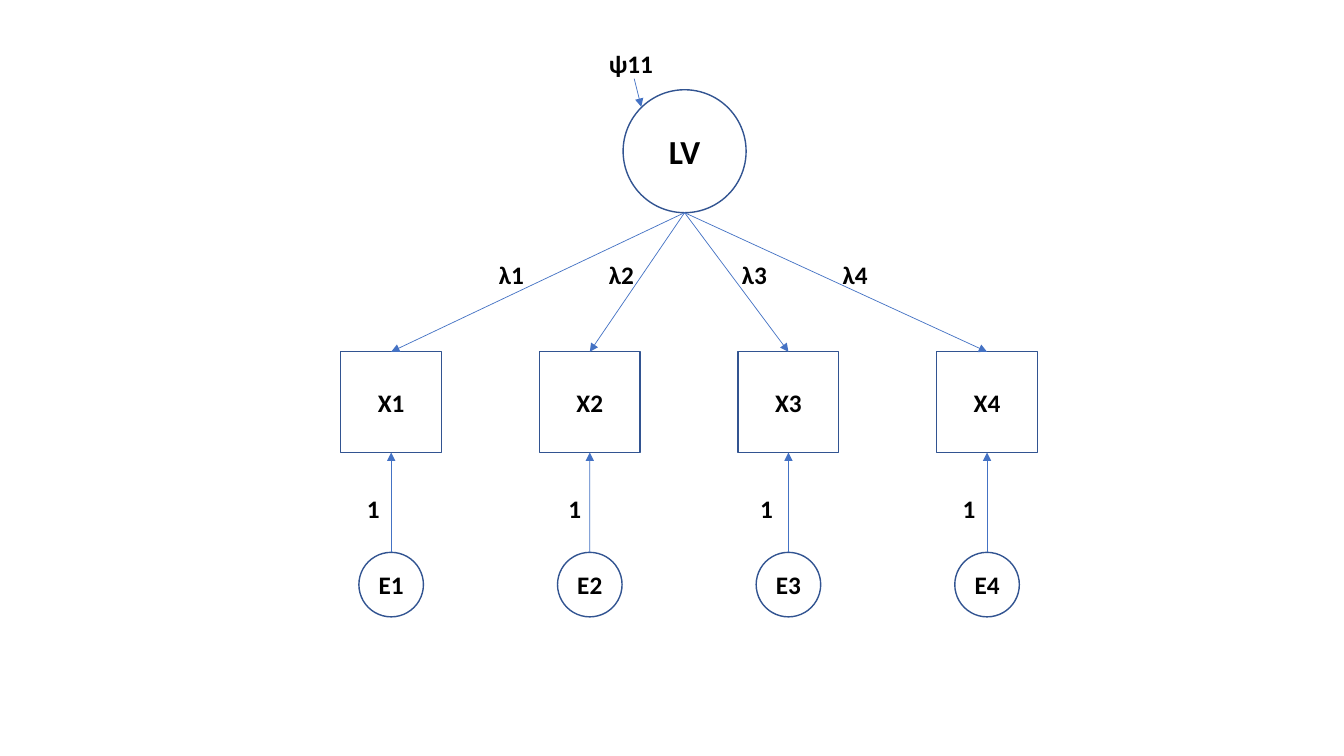
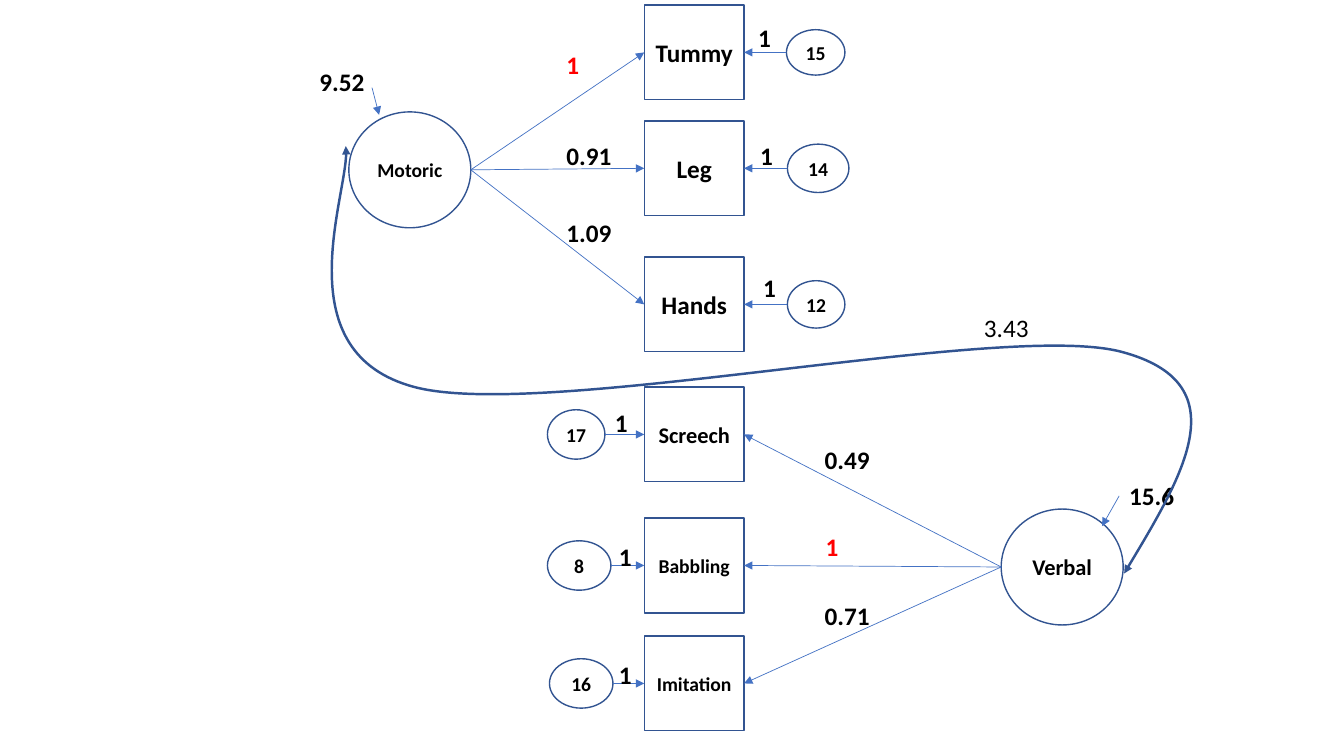
from dataclasses import dataclass
from typing import NamedTuple

from lxml import etree
from pptx import Presentation
from pptx.dml.color import RGBColor
from pptx.enum.shapes import MSO_CONNECTOR, MSO_SHAPE
from pptx.enum.text import MSO_ANCHOR, MSO_AUTO_SIZE, PP_ALIGN
from pptx.oxml.ns import qn
from pptx.shapes.autoshape import Shape
from pptx.shapes.connector import Connector
from pptx.slide import Slide
from pptx.text.text import TextFrame
from pptx.util import Inches, Pt

CIRCLE, SQUARE = MSO_SHAPE.OVAL, MSO_SHAPE.RECTANGLE
STRAIGHT = MSO_CONNECTOR.STRAIGHT
CENTER, MIDDLE = PP_ALIGN.CENTER, MSO_ANCHOR.MIDDLE
GROW = MSO_AUTO_SIZE.SHAPE_TO_FIT_TEXT
TOP, LEFT, BOTTOM, RIGHT = range(4)
BLANK_LAYOUT = 6


@dataclass(frozen=True)
class Theme:
    font: str = "Calibri"
    paper: RGBColor = RGBColor(0xFF, 0xFF, 0xFF)
    ink: RGBColor = RGBColor(0, 0, 0)
    fixed: RGBColor = RGBColor(0xFF, 0, 0)
    outline: RGBColor = RGBColor(0x32, 0x54, 0x91)
    arrow: RGBColor = RGBColor(0x44, 0x72, 0xC4)
    large: int = 24
    normal: int = 18
    medium: int = 16
    small: int = 14
    outline_width: float = 1
    arrow_width: float = 0.5
    curve_width: float = 1.75


THEME = Theme()


class Point(NamedTuple):
    x: float
    y: float


class Box(NamedTuple):
    left: float
    top: float
    width: float
    height: float

    @property
    def center(self) -> Point:
        return Point(self.left + self.width / 2, self.top + self.height / 2)

    def side(self, site: int) -> Point:
        """Middle of the given side."""
        x, y = self.center
        return {
            TOP: Point(x, self.top),
            LEFT: Point(self.left, y),
            BOTTOM: Point(x, self.top + self.height),
            RIGHT: Point(self.left + self.width, y),
        }[site]


def centered(x: float, y: float, width: float, height: float) -> Box:
    return Box(x - width / 2, y - height / 2, width, height)


class Label(NamedTuple):
    text: str
    left: float
    top: float
    width: float = 0.72
    color: RGBColor = THEME.ink
    bold: bool = True


class Variance(NamedTuple):
    label: Label
    start: Point
    end: Point


class Indicator(NamedTuple):
    name: str
    size: int
    top: float
    error: str
    error_box: tuple[float, float, float]  # left, width, height
    one: Label
    loading: Label


class Factor(NamedTuple):
    name: str
    size: int
    box: Box
    facing: int
    variance: Variance
    indicators: list[Indicator]


def add_text(frame: TextFrame, text: str, size: int,
             color: RGBColor = THEME.ink, bold: bool = True) -> None:
    run = frame.paragraphs[0].add_run()
    run.text = text
    run.font.name = THEME.font
    run.font.size = Pt(size)
    run.font.bold = bold
    run.font.color.rgb = color


def add_node(slide: Slide, kind: int, box: Box, text: str, size: int) -> Shape:
    node = slide.shapes.add_shape(kind, *map(Inches, box))
    node.shadow.inherit = False
    node.fill.solid()
    node.fill.fore_color.rgb = THEME.paper
    node.line.color.rgb = THEME.outline
    node.line.width = Pt(THEME.outline_width)
    frame = node.text_frame
    frame.word_wrap = True
    frame.margin_left = frame.margin_right = 0
    frame.vertical_anchor = MIDDLE
    frame.paragraphs[0].alignment = CENTER
    add_text(frame, text, size)
    return node


def add_label(slide: Slide, label: Label) -> None:
    area = Box(label.left, label.top, label.width, 0.4)
    frame = slide.shapes.add_textbox(*map(Inches, area)).text_frame
    frame.word_wrap = True
    frame.auto_size = GROW
    frame.margin_right = 0
    add_text(frame, label.text, THEME.normal, label.color, label.bold)


def add_arrowheads(shape: Shape | Connector, *ends: str) -> None:
    line = shape.line._get_or_add_ln()
    for end in ends:
        etree.SubElement(line, qn(f"a:{end}"), type="triangle")


def add_arrow(slide: Slide, start: Point, end: Point) -> Connector:
    arrow = slide.shapes.add_connector(STRAIGHT, *map(Inches, (*start, *end)))
    arrow.line.color.rgb = THEME.arrow
    arrow.line.width = Pt(THEME.arrow_width)
    add_arrowheads(arrow, "tailEnd")
    etree.SubElement(arrow._element.spPr, qn("a:effectLst"))
    return arrow


def add_curve(slide: Slide, points: list[Point], bounds: Box) -> None:
    """Draw joined cubic curves: a start, then three points per curve."""
    corners = [(Inches(x), Inches(y)) for x, y in points]
    builder = slide.shapes.build_freeform(*corners[0])
    builder.add_line_segments(corners[1:], close=False)
    curve = builder.convert_to_shape()

    outline = curve._element.find(".//" + qn("a:path"))
    steps = outline.findall(qn("a:lnTo"))
    for first in range(0, len(steps), 3):
        cubic = etree.SubElement(outline, qn("a:cubicBezTo"))
        for step in steps[first:first + 3]:
            cubic.append(step[0])
            outline.remove(step)

    # The frame hugs the curve rather than its control points.
    left, top, width, height = map(Inches, bounds)
    shift_x, shift_y = left - curve.left, top - curve.top
    for point in outline.iter(qn("a:pt")):
        point.set("x", str(int(point.get("x")) - shift_x))
        point.set("y", str(int(point.get("y")) - shift_y))
    outline.set("w", str(width))
    outline.set("h", str(height))
    curve.left, curve.top, curve.width, curve.height = left, top, width, height

    curve.shadow.inherit = False
    curve.fill.background()
    curve.line.color.rgb = THEME.outline
    curve.line.width = Pt(THEME.curve_width)
    add_arrowheads(curve, "headEnd", "tailEnd")


def add_variance(slide: Slide, variance: Variance) -> None:
    add_arrow(slide, variance.start, variance.end)
    add_label(slide, variance.label)


def build_one_factor_model(slide: Slide) -> None:
    latent = Box(6.18, 0.89, 1.22, 1.22)
    first_center, pitch = 3.88, 1.97
    loading_lefts = (4.85, 5.94, 7.26, 8.26)
    one_lefts = (3.54, 5.54, 7.44, 9.45)

    add_node(slide, CIRCLE, latent, "LV", THEME.large)
    for i, (loading_left, one_left) in enumerate(zip(loading_lefts, one_lefts)):
        x, number = first_center + i * pitch, i + 1
        observed_box = centered(x, 3.99, 1, 1)
        error_box = centered(x, 5.8, 0.64, 0.64)
        observed = add_node(slide, SQUARE, observed_box, f"X{number}", THEME.normal)
        error = add_node(slide, CIRCLE, error_box, f"E{number}", THEME.normal)
        loading = add_arrow(slide, latent.side(BOTTOM), observed_box.side(TOP))
        loading.end_connect(observed, TOP)
        residual = add_arrow(slide, error_box.side(TOP), observed_box.side(BOTTOM))
        residual.begin_connect(error, TOP)
        residual.end_connect(observed, BOTTOM)
        add_label(slide, Label("1", one_left, 4.84, 0.33))
        add_label(slide, Label(f"λ{number}", loading_left, 2.52, 0.45))
    add_variance(slide, Variance(Label("ψ11", 5.94, 0.43, 0.64),
                                 Point(6.29, 0.78), Point(6.36, 1.06)))


FACTORS = [
    Factor("Motoric", THEME.small, Box(3.46, 1.11, 1.21, 1.15), RIGHT,
           Variance(Label("9.52", 3.07, 0.61), Point(3.69, 0.87), Point(3.76, 1.14)), [
        Indicator("Tummy", THEME.normal, 0.05, "15", (7.8, 0.58, 0.45),
                  Label("1", 7.42, 0.17, 0.33), Label("1", 5.52, 0.44, color=THEME.fixed)),
        Indicator("Leg", THEME.normal, 1.2, "14", (7.81, 0.61, 0.48),
                  Label("1", 7.44, 1.34, 0.33), Label("0.91", 5.52, 1.34)),
        Indicator("Hands", THEME.normal, 2.55, "12", (7.81, 0.57, 0.47),
                  Label("1", 7.47, 2.65, 0.33), Label("1.09", 5.52, 2.11)),
    ]),
    Factor("Verbal", THEME.medium, Box(9.93, 5.05, 1.21, 1.15), LEFT,
           Variance(Label("15.6", 11.1, 4.72), Point(11.1, 4.92), Point(10.93, 5.22)), [
        Indicator("Screech", THEME.medium, 3.84, "17", (5.43, 0.57, 0.49),
                  Label("1", 6, 3.99, 0.33), Label("0.49", 8.08, 4.36)),
        Indicator("Babbling", THEME.small, 5.14, "8", (5.43, 0.63, 0.49),
                  Label("1", 6.04, 5.32, 0.33), Label("1", 8.09, 5.22, color=THEME.fixed)),
        Indicator("Imitation", THEME.small, 6.31, "16", (5.45, 0.63, 0.49),
                  Label("1", 6.04, 6.49, 0.33), Label("0.71", 8.08, 5.91)),
    ]),
]


def add_indicator(slide: Slide, factor: Factor, indicator: Indicator) -> None:
    near, far = (LEFT, RIGHT) if factor.facing == RIGHT else (RIGHT, LEFT)
    observed_box = Box(6.39, indicator.top, 0.99, 0.94)
    left, width, height = indicator.error_box
    error_box = centered(left + width / 2, observed_box.center.y, width, height)

    observed = add_node(slide, SQUARE, observed_box, indicator.name, indicator.size)
    add_node(slide, CIRCLE, error_box, indicator.error, THEME.small)
    for start, site in ((factor.box.side(factor.facing), near),
                        (error_box.side(near), far)):
        arrow = add_arrow(slide, start, observed_box.side(site))
        arrow.end_connect(observed, site)
    add_label(slide, indicator.one)
    add_label(slide, indicator.loading)


def build_two_factor_model(slide: Slide) -> None:
    for factor in FACTORS:
        add_node(slide, CIRCLE, factor.box, factor.name, factor.size)
        for indicator in factor.indicators:
            add_indicator(slide, factor, indicator)
        add_variance(slide, factor.variance)
    covariance = [
        Point(11.15, 5.69),
        Point(11.72, 4.74), Point(12.29, 3.8), Point(11.12, 3.49),
        Point(9.94, 3.18), Point(5.39, 4.18), Point(4.11, 3.84),
        Point(2.83, 3.5), Point(3.49, 1.83), Point(3.43, 1.45),
    ]
    add_curve(slide, covariance, Box(3.31, 1.45, 8.49, 4.23))
    add_label(slide, Label("3.43", 9.66, 3.05, 0.99, bold=False))


def main() -> None:
    deck = Presentation()
    deck.slide_width, deck.slide_height = Inches(13.33), Inches(7.5)
    for build in (build_one_factor_model, build_two_factor_model):
        build(deck.slides.add_slide(deck.slide_layouts[BLANK_LAYOUT]))
    deck.save("out.pptx")


if __name__ == "__main__":
    main()
